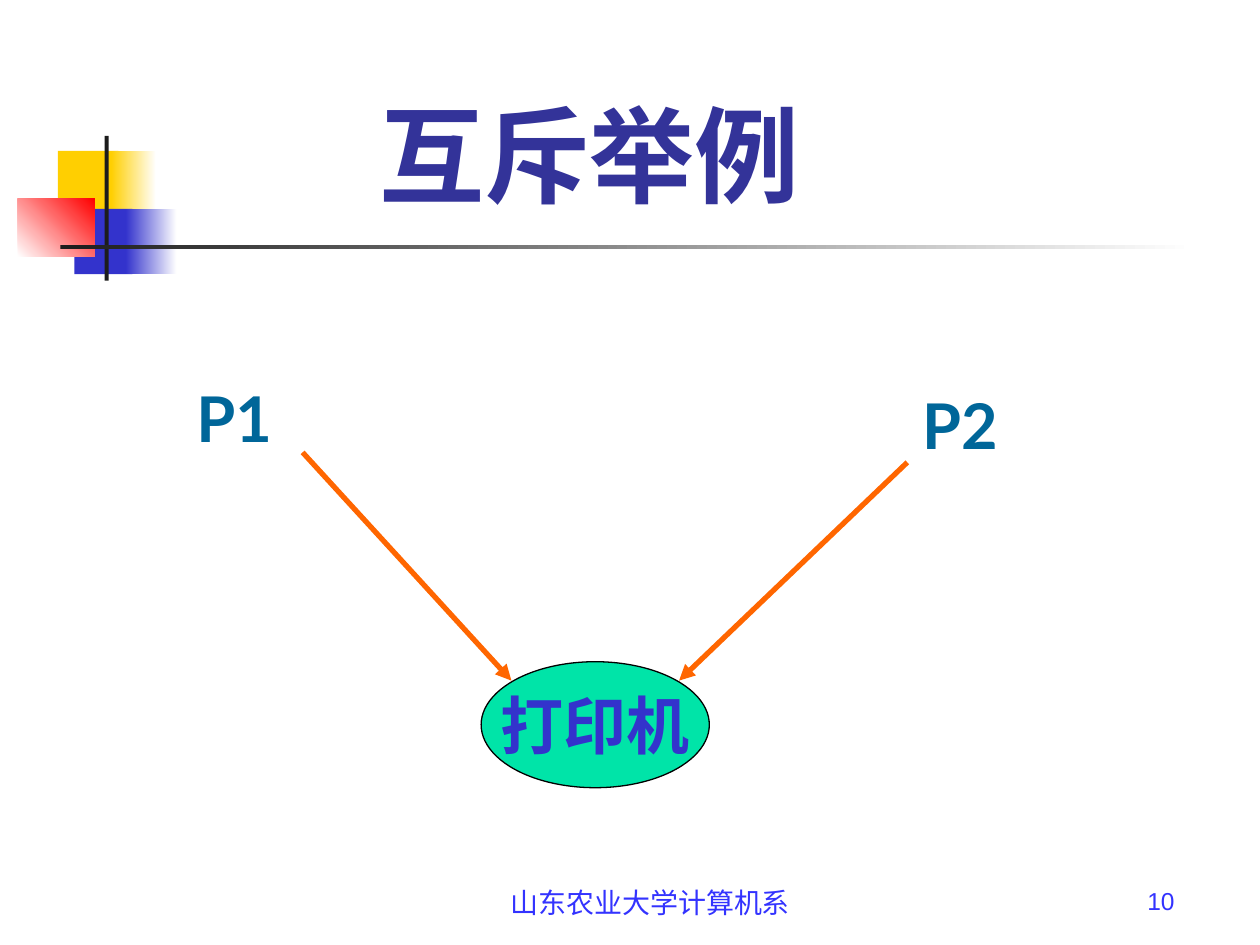
from dataclasses import dataclass

from pptx import Presentation
from pptx.dml.color import RGBColor
from pptx.enum.shapes import MSO_CONNECTOR, MSO_SHAPE
from pptx.enum.text import MSO_ANCHOR as Anchor, PP_ALIGN as Align
from pptx.oxml.ns import qn
from pptx.util import Cm, Pt
from lxml.etree import SubElement


@dataclass(frozen=True)
class Theme:
    white: str = "FFFFFF"
    yellow: str = "FFCF01"
    blue: str = "3333CC"
    red: str = "FF0000"
    dark: str = "1C1C1C"
    title: str = "333399"
    footer: str = "3333FF"
    process: str = "006699"
    arrow: str = "FF6600"
    resource: str = "00E4A8"
    outline: str = "000000"
    title_size: int = 60
    label_size: int = 36
    footer_size: int = 16
    number_size: int = 14
    cjk_font: str = "Noto Sans CJK SC"
    label_font: str = "Lato"
    footer_font: str = "Arial"


T = Theme()


def rgb(value):
    return RGBColor.from_string(value)


def write(tf, text, size, color, font, bold=False, align=Align.LEFT):
    p = tf.paragraphs[0]
    p.text = text
    p.alignment = align
    for r in p.runs:
        r.font.size = Pt(size)
        r.font.bold = bold
        r.font.name = font
        r.font.color.rgb = rgb(color)
        SubElement(r.font._element, qn("a:ea"), typeface=T.cjk_font)


def add_text(s, box, text, *style, **options):
    tf = s.shapes.add_textbox(*map(Cm, box)).text_frame
    tf.word_wrap = True
    write(tf, text, *style, **options)


def add_block(s, box, start, end=None, angle=0):
    sp = s.shapes.add_shape(MSO_SHAPE.RECTANGLE, *map(Cm, box))
    sp.shadow.inherit = False
    sp.line.fill.background()
    if end is None:
        sp.fill.solid()
        sp.fill.fore_color.rgb = rgb(start)
        return
    sp.fill.gradient()
    sp.fill.gradient_angle = angle
    for stop, color, position in zip(sp.fill.gradient_stops, (start, end), (0, 1)):
        stop.color.rgb = rgb(color)
        stop.position = position


def add_arrow(s, start, end):
    line = s.shapes.add_connector(MSO_CONNECTOR.STRAIGHT, *map(Cm, start + end))
    line.line.color.rgb = rgb(T.arrow)
    line.line.width = Pt(3)
    SubElement(line.line._get_or_add_ln(), qn("a:tailEnd"), type="triangle")
    SubElement(line._element.spPr, qn("a:effectLst"))


def add_emblem(s, left, top, rule_width):
    blocks = [
        (0.81, 0.3, 1.22, 1.32, T.yellow),
        (1.88, 0.3, 0.91, 1.32, T.yellow, T.white),
        (1.14, 1.47, 1.17, 1.32, T.blue),
        (2.18, 1.47, 1.02, 1.32, T.blue, T.white),
        (0, 1.27, 1.55, 1.17, T.white, T.red, 45),
        (1.75, 0, 0.08, 2.92, T.dark),
        (0.86, 2.2, rule_width, 0.09, T.dark, T.white),
    ]
    for x, y, width, height, *paint in blocks:
        add_block(s, (left + x, top + y, width, height), *paint)


def add_title(s, left, top, width, height):
    sp = s.shapes.title
    sp.left, sp.top, sp.width, sp.height = map(Cm, (left, top, width, height))
    sp.text_frame.vertical_anchor = Anchor.BOTTOM
    write(sp.text_frame, "互斥举例", T.title_size, T.title, T.cjk_font,
          bold=True, align=Align.CENTER)


def add_footer(s, left, top, width, height):
    add_text(s, (left, top, 8.05, height), "山东农业大学计算机系",
             T.footer_size, T.footer, T.footer_font, align=Align.CENTER)
    number_width = 6.35
    add_text(s, (left + width - number_width, top, number_width, height), "10",
             T.number_size, T.footer, T.footer_font, align=Align.RIGHT)


def add_diagram(s, left, top):
    for text, x, y in (("P1", 0, 0), ("P2", 14.63, 0.15)):
        add_text(s, (left + x, top + y, 3.76, 1.78), text,
                 T.label_size, T.process, T.label_font, bold=True)
    for x1, y1, x2, y2 in ((2.39, 1.6, 6.6, 6.2), (14.58, 1.8, 9.98, 6.2)):
        add_arrow(s, (left + x1, top + y1), (left + x2, top + y2))

    printer = s.shapes.add_shape(
        MSO_SHAPE.OVAL, Cm(left + 5.99), Cm(top + 5.82), Cm(4.6), Cm(2.54))
    printer.shadow.inherit = False
    printer.fill.solid()
    printer.fill.fore_color.rgb = rgb(T.resource)
    printer.line.color.rgb = rgb(T.outline)
    printer.line.width = Pt(0.75)
    tf = printer.text_frame
    tf.word_wrap = False
    tf.vertical_anchor = Anchor.MIDDLE
    write(tf, "打印机", T.label_size, T.blue, T.label_font,
          bold=True, align=Align.CENTER)


def main():
    prs = Presentation()
    prs.slide_width, prs.slide_height = Cm(25.4), Cm(19.05)
    s = prs.slides.add_slide(prs.slide_layouts.get_by_name("Title Only"))
    add_emblem(s, 0.36, 2.74, rule_width=22.86)
    add_footer(s, 9.09, 17.73, 14.84, 1.32)
    add_title(s, 5.11, 1.32, 13.54, 3.18)
    add_diagram(s, 3.71, 7.52)
    prs.save("out.pptx")


if __name__ == "__main__":
    main()
